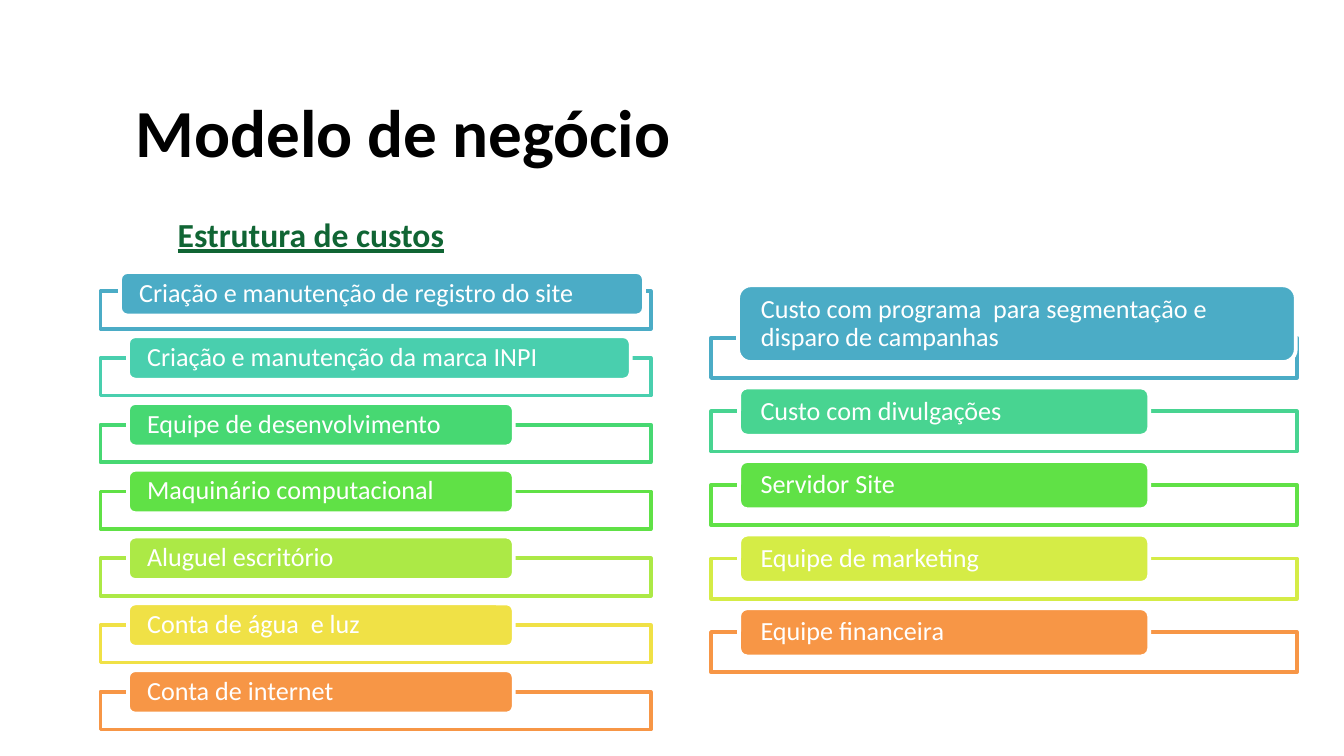
from dataclasses import dataclass

from lxml.etree import SubElement
from pptx import Presentation
from pptx.dml.color import RGBColor
from pptx.enum.shapes import MSO_SHAPE
from pptx.enum.text import MSO_ANCHOR, PP_ALIGN
from pptx.oxml.ns import qn
from pptx.util import Cm, Pt

BLACK = RGBColor(0x00, 0x00, 0x00)
WHITE = RGBColor(0xFF, 0xFF, 0xFF)
DARK_GREEN = RGBColor(0x10, 0x65, 0x34)
BLUE = RGBColor(0x4B, 0xAC, 0xC6)
TURQUOISE = RGBColor(0x49, 0xCF, 0xAE)
MINT = RGBColor(0x48, 0xD4, 0x91)
EMERALD = RGBColor(0x47, 0xD8, 0x72)
GREEN = RGBColor(0x60, 0xE1, 0x46)
LIME = RGBColor(0xAC, 0xE9, 0x46)
CHARTREUSE = RGBColor(0xD5, 0xEC, 0x46)
YELLOW = RGBColor(0xF0, 0xE1, 0x46)
ORANGE = RGBColor(0xF7, 0x96, 0x46)
FONT = "Calibri"


@dataclass
class Box:
    """An area of the slide, in centimetres."""
    left: float
    top: float
    width: float
    height: float

    def lengths(self):
        """Return the four measures as lengths."""
        return Cm(self.left), Cm(self.top), Cm(self.width), Cm(self.height)


@dataclass
class Label:
    """Position of a cost label relative to the top left of its frame."""
    indent: float
    rise: float
    width: float
    height: float


def write_text(frame, text, *, size, color=WHITE, bold=False, underline=False,
               spacing=None, anchor=MSO_ANCHOR.TOP, insets=(0.25, 0.13)):
    """Write one left-aligned paragraph in a text frame."""
    frame.word_wrap = True
    frame.vertical_anchor = anchor
    frame.margin_left = frame.margin_right = Cm(insets[0])
    frame.margin_top = frame.margin_bottom = Cm(insets[1])
    paragraph = frame.paragraphs[0]
    paragraph.alignment = PP_ALIGN.LEFT
    paragraph.line_spacing = spacing
    run = paragraph.add_run()
    run.text = text
    run.font.name = FONT
    run.font.size = Pt(size)
    run.font.bold = bold
    run.font.underline = underline
    run.font.color.rgb = color


def add_panel(shapes, preset, box, fill, line):
    """Add a filled and outlined shape without shadow."""
    panel = shapes.add_shape(preset, *box.lengths())
    panel.shadow.inherit = False
    panel.fill.solid()
    panel.fill.fore_color.rgb = fill
    panel.line.color.rgb = line
    panel.line.width = Pt(2)
    return panel


def add_heading(slide, box, text, **text_format):
    """Place a heading in its box."""
    heading = slide.shapes.add_textbox(*box.lengths())
    write_text(heading.text_frame, text, **text_format)


def add_cost(shapes, box, label, inset, text, color):
    """Place a cost frame and the label overlapping its top edge."""
    frame = add_panel(shapes, MSO_SHAPE.RECTANGLE, box, WHITE, color)
    white = frame.fill._xPr.find(qn("a:solidFill"))[0]
    SubElement(white, qn("a:alpha"), val="90000")
    label_box = Box(box.left + label.indent, box.top - label.rise,
                    label.width, label.height)
    pill = add_panel(shapes, MSO_SHAPE.ROUNDED_RECTANGLE, label_box, color, WHITE)
    write_text(pill.text_frame, text, size=14, spacing=0.9,
               anchor=MSO_ANCHOR.MIDDLE, insets=(inset, 0))


def add_cost_list(slide, box, costs, frame_height, inset, label, special_labels):
    """Spread the costs evenly down the box, from first frame to last."""
    group = slide.shapes.add_group_shape()
    pitch = (box.height - frame_height) / (len(costs) - 1)
    for row, (text, color) in enumerate(costs):
        frame_box = Box(box.left, box.top + row * pitch, box.width, frame_height)
        add_cost(group.shapes, frame_box, special_labels.get(row, label),
                 inset, text, color)


def main():
    """Build the cost structure slide."""
    presentation = Presentation()
    presentation.slide_width = Cm(25.4)
    presentation.slide_height = Cm(14.28)
    slide = presentation.slides.add_slide(presentation.slide_layouts[6])

    add_heading(slide, Box(2.31, 1.57, 22.2, 1.8), "Modelo de negócio",
                size=36, color=BLACK, bold=True)
    add_cost_list(
        slide, Box(1.9, 5.5, 10.4, 8.28),
        [("Criação e manutenção de registro do site", BLUE),
         ("Criação e manutenção da marca INPI", TURQUOISE),
         ("Equipe de desenvolvimento", EMERALD),
         ("Maquinário computacional", GREEN),
         ("Aluguel escritório", LIME),
         ("Conta de água  e luz", YELLOW),
         ("Conta de internet", ORANGE)],
        frame_height=0.71, inset=0.32,
        label=Label(0.52, 0.41, 7.29, 0.82),
        special_labels={0: Label(0.37, 0.36, 9.9, 0.82),
                        1: Label(0.52, 0.41, 9.5, 0.82)})
    add_cost_list(
        slide, Box(13.44, 6.38, 11.07, 6.32),
        [("Custo com programa  para segmentação e disparo de campanhas", BLUE),
         ("Custo com divulgações", MINT),
         ("Servidor Site", GREEN),
         ("Equipe de marketing", CHARTREUSE),
         ("Equipe financeira", ORANGE)],
        frame_height=0.76, inset=0.36,
        label=Label(0.53, 0.45, 7.75, 0.91),
        special_labels={0: Label(0.51, 0.99, 10.54, 1.45)})
    add_heading(slide, Box(3.23, 3.91, 6.22, 0.91), "Estrutura de custos",
                size=18, color=DARK_GREEN, bold=True, underline=True,
                insets=(0.13, 0.13))

    presentation.save("out.pptx")


if __name__ == "__main__":
    main()
